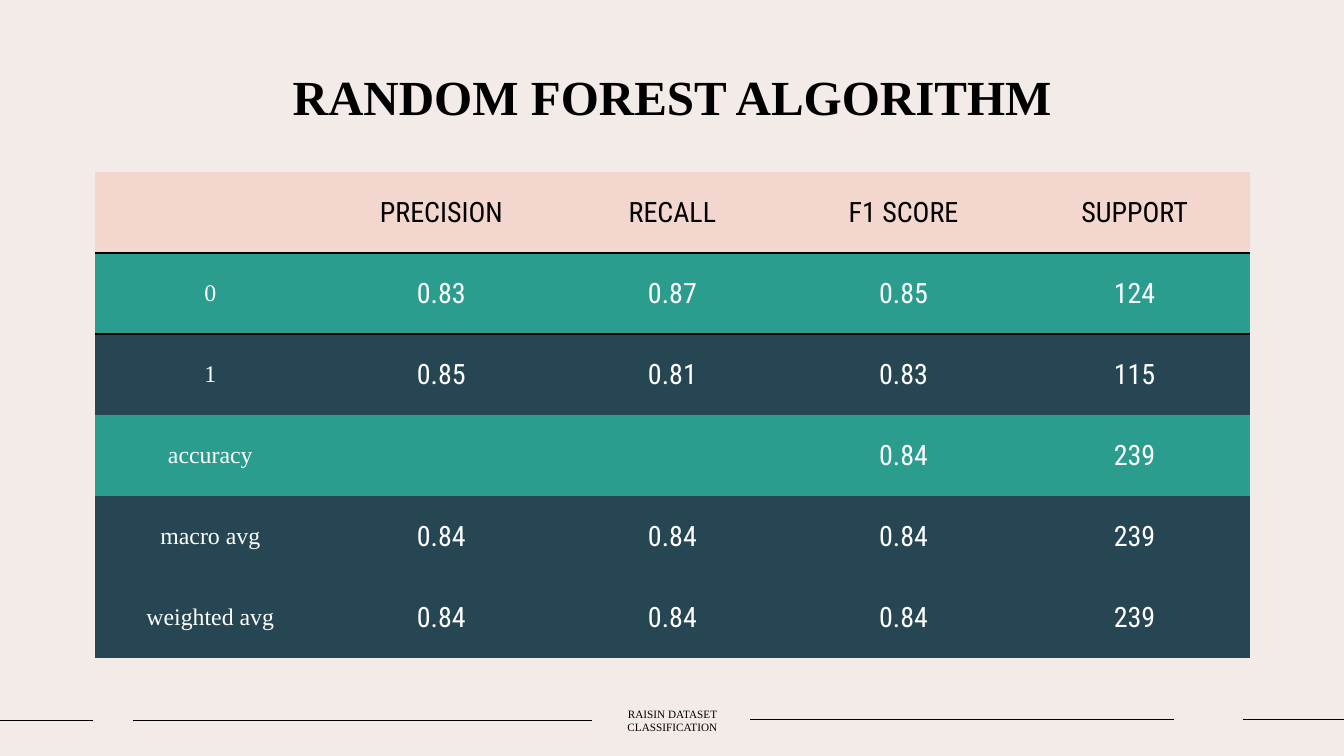
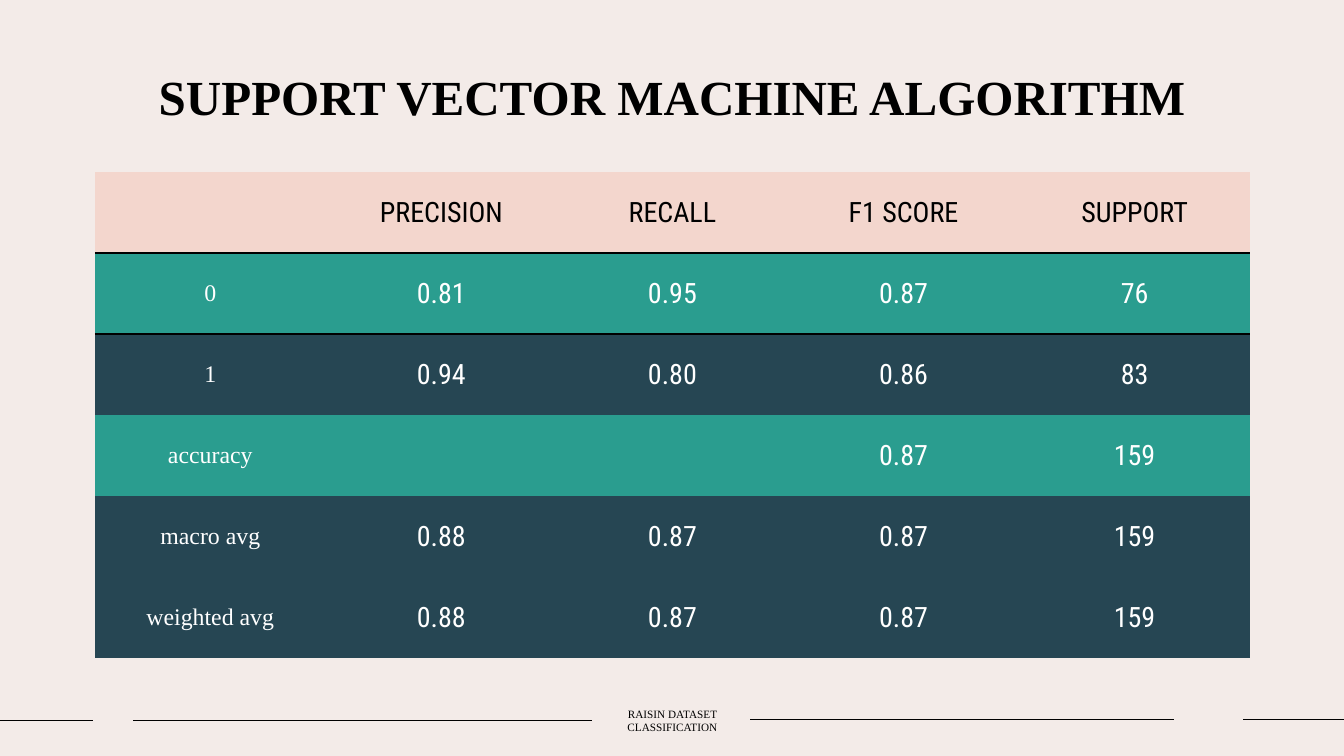
from lxml.etree import SubElement
from pptx import Presentation
from pptx.dml.color import RGBColor
from pptx.enum.shapes import MSO_CONNECTOR as Connector
from pptx.enum.text import MSO_ANCHOR as Anchor, PP_ALIGN as Align
from pptx.oxml.ns import qn
from pptx.util import Inches, Pt

COLORS = {
    "background": "F3EBE8",
    "header": "F3D6CD",
    "teal": "2A9D8F",
    "navy": "264653",
    "black": "000000",
    "white": "FFFFFF",
}
SERIF = "Times New Roman"
CONDENSED = "Roboto Condensed"
PLAIN_TABLE = "{2D5ABB26-0587-4C30-8999-92F81FD0307C}"

METRICS = ["", "PRECISION", "RECALL", "F1 SCORE", "SUPPORT"]
ROW_STYLES = [
    ("0", "teal"),
    ("1", "navy"),
    ("accuracy", "teal"),
    ("macro avg", "navy"),
    ("weighted avg", "navy"),
]
REPORTS = {
    "RANDOM FOREST ALGORITHM": [
        ["0.83", "0.87", "0.85", "124"],
        ["0.85", "0.81", "0.83", "115"],
        ["", "", "0.84", "239"],
        ["0.84", "0.84", "0.84", "239"],
        ["0.84", "0.84", "0.84", "239"],
    ],
    "SUPPORT VECTOR MACHINE ALGORITHM": [
        ["0.81", "0.95", "0.87", "76"],
        ["0.94", "0.80", "0.86", "83"],
        ["", "", "0.87", "159"],
        ["0.88", "0.87", "0.87", "159"],
        ["0.88", "0.87", "0.87", "159"],
    ],
}


def color(name):
    return RGBColor.from_string(COLORS[name])


def write(frame, text, size=20, font=CONDENSED, ink="black", bold=False):
    paragraph = frame.paragraphs[0]
    paragraph.alignment = Align.CENTER
    run = paragraph.add_run()
    run.text = text
    run.font.size = Pt(size)
    run.font.name = font
    run.font.bold = bold
    run.font.color.rgb = color(ink)


def add_border(cell, side, width=1.5):
    properties = cell._tc.get_or_add_tcPr()
    line = SubElement(properties, qn(f"a:{side}"), w=str(Pt(width)))
    fill = SubElement(line, qn("a:solidFill"))
    SubElement(fill, qn("a:srgbClr"), val=COLORS["black"])


class ReportDeck:
    def __init__(self):
        self.presentation = Presentation()
        self.presentation.slide_width = Inches(13.33)
        self.presentation.slide_height = Inches(7.5)
        background = self.presentation.slide_master.background.fill
        background.solid()
        background.fore_color.rgb = color("background")
        self.slide = None

    def add_slide(self, title, values):
        blank = self.presentation.slide_layouts[6]
        self.slide = self.presentation.slides.add_slide(blank)
        self.add_text(title, 1.25, 0.56, 10.84, 0.67, margins=(0.1, 0.1),
                      size=35, font=SERIF, bold=True)
        self.add_report(values)
        self.add_footer()

    def add_text(self, text, left, top, width, height, margins, anchor=Anchor.TOP, **style):
        shape = self.slide.shapes.add_textbox(
            Inches(left), Inches(top), Inches(width), Inches(height))
        frame = shape.text_frame
        frame.word_wrap = True
        frame.vertical_anchor = anchor
        side, edge = margins
        frame.margin_left = frame.margin_right = Inches(side)
        frame.margin_top = frame.margin_bottom = Inches(edge)
        write(frame, text, **style)
        return shape

    def add_line(self, start, end, height):
        line = self.slide.shapes.add_connector(
            Connector.STRAIGHT, Inches(start), Inches(height), Inches(end), Inches(height))
        line.line.color.rgb = color("black")
        line.line.width = Pt(1)
        SubElement(line._element.spPr, qn("a:effectLst"))
        return line

    def add_footer(self):
        self.add_line(0, 0.92, 7.15)
        left_line = self.add_line(1.32, 5.87, 7.15)
        self.add_line(7.44, 11.64, 7.14)
        self.add_line(12.33, 13.33, 7.14)
        label = self.add_text("RAISIN DATASET CLASSIFICATION", 5.87, 7.01, 1.6, 0.28,
                              margins=(0, 0.05), anchor=Anchor.MIDDLE, size=8, font=SERIF)
        left_line.end_connect(label, 1)

    def add_report(self, values):
        rows, columns = len(ROW_STYLES) + 1, len(METRICS)
        graphic = self.slide.shapes.add_table(
            rows, columns, Inches(0.94), Inches(1.71), Inches(11.46), Inches(4.82))
        table = graphic.table
        table.first_row = table.horz_banding = False
        graphic._element.xpath(".//a:tableStyleId")[0].text = PLAIN_TABLE
        for column, metric in enumerate(METRICS):
            self.fill_cell(table.cell(0, column), metric, "header", border="lnB")
        for row, ((label, fill), numbers) in enumerate(zip(ROW_STYLES, values), 1):
            border = "lnT" if row == 1 else None
            self.fill_cell(table.cell(row, 0), label, fill, border,
                           size=17, font=SERIF, ink="white")
            for column, number in enumerate(numbers, 1):
                self.fill_cell(table.cell(row, column), number, fill, border, ink="white")

    def fill_cell(self, cell, text, fill, border=None, **style):
        if border:
            add_border(cell, border)
        cell.fill.solid()
        cell.fill.fore_color.rgb = color(fill)
        cell.vertical_anchor = Anchor.MIDDLE
        if text:
            write(cell.text_frame, text, **style)


def main():
    deck = ReportDeck()
    for title, values in REPORTS.items():
        deck.add_slide(title, values)
    deck.presentation.save("out.pptx")


if __name__ == "__main__":
    main()
